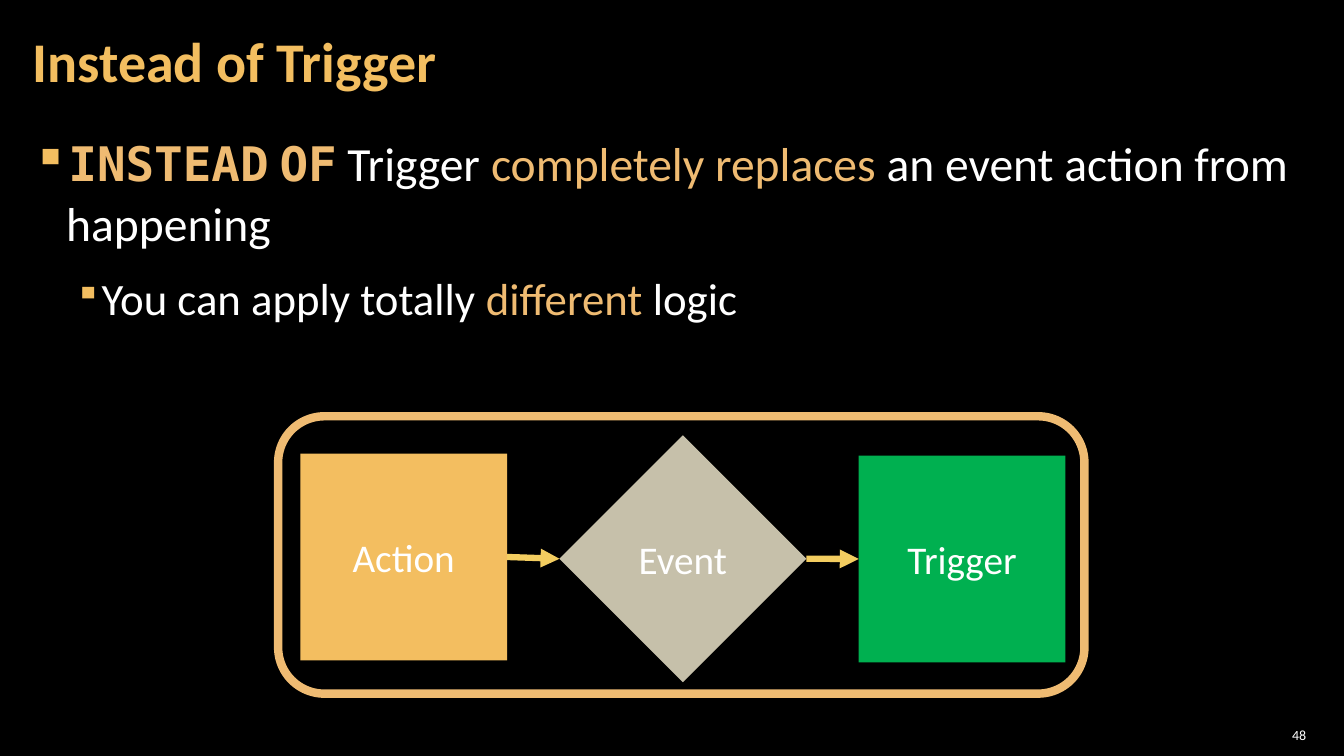
"""Build the slide on the INSTEAD OF trigger with its flow diagram."""
from lxml.etree import SubElement
from pptx import Presentation
from pptx.dml.color import RGBColor
from pptx.enum.shapes import MSO_CONNECTOR, MSO_SHAPE
from pptx.enum.text import MSO_ANCHOR, PP_ALIGN
from pptx.oxml.ns import qn
from pptx.util import Cm, Pt

BLACK = RGBColor(0x00, 0x00, 0x00)
WHITE = RGBColor(0xFF, 0xFF, 0xFF)
GOLD = RGBColor(0xF3, 0xBE, 0x60)
SAND = RGBColor(0xEF, 0xBB, 0x72)
STONE = RGBColor(0xC6, 0xC0, 0xAA)
GREEN = RGBColor(0x00, 0xB0, 0x50)
YELLOW = RGBColor(0xF3, 0xCD, 0x60)
SANS, MONO = "Calibri", "DejaVu Sans Mono"


def add_run(para, text, size, color, bold=False, name=SANS):
    run = para.add_run()
    run.text = text
    run.font.color.rgb = color
    for key, value in {"size": Pt(size), "bold": bold, "name": name}.items():
        setattr(run.font, key, value)


def add_box(left, top, width, height, pad, anchor):
    box = slide.shapes.add_textbox(Cm(left), Cm(top), Cm(width), Cm(height))
    frame = box.text_frame
    look = {"word_wrap": True, "vertical_anchor": anchor,
            "margin_left": Cm(pad), "margin_right": Cm(pad),
            "margin_top": Cm(0.1), "margin_bottom": Cm(0.1)}
    for key, value in look.items():
        setattr(frame, key, value)
    return frame


deck = Presentation()
deck.slide_width, deck.slide_height = Cm(33.87), Cm(19.05)
slide = deck.slides.add_slide(deck.slide_layouts[6])
slide.background.fill.solid()
slide.background.fill.fore_color.rgb = BLACK

title = add_box(0.53, 0.1, 26.59, 3.07, 0.3, MSO_ANCHOR.MIDDLE).paragraphs[0]
title.line_spacing = 0.9
add_run(title, "Instead of Trigger", 40, GOLD, True)

body = add_box(0.53, 3.2, 32.79, 15.47, 0.3, MSO_ANCHOR.TOP)
points = [
    (0.84, 0.84, 100, 34, [
        ("INSTEAD", SAND, True, MONO), (" ", SAND, True), ("OF", SAND, True, MONO),
        (" Trigger ", WHITE), ("completely replaces", SAND),
        (" an event action from happening", WHITE)]),
    (1.7, 0.64, 80, 32, [
        ("You can apply totally ", WHITE), ("different", SAND), (" logic", WHITE)]),
]
for level, (left, hang, scale, size, runs) in enumerate(points):
    para = body.add_paragraph() if level else body.paragraphs[0]
    look = {"level": level, "line_spacing": 1.05,
            "space_before": Pt(6 * level), "space_after": Pt(6)}
    for key, value in look.items():
        setattr(para, key, value)
    props = para._p.get_or_add_pPr()
    props.set("marL", str(Cm(left)))
    props.set("indent", str(-Cm(hang)))
    tint = SubElement(props, qn("a:buClr"))
    SubElement(tint, qn("a:srgbClr"), val=str(GOLD))
    SubElement(props, qn("a:buSzPct"), val=str(scale * 1000))
    SubElement(props, qn("a:buChar"), char="▪")
    for text, *style in runs:
        add_run(para, text, size, *style)

number = add_box(31.75, 18.21, 1.27, 0.64, 0.1, MSO_ANCHOR.MIDDLE).paragraphs[0]
number.alignment = PP_ALIGN.RIGHT
add_run(number, "48", 10, WHITE)

border = slide.shapes.add_shape(
    MSO_SHAPE.ROUNDED_RECTANGLE, Cm(7.01), Cm(10.49), Cm(20.32), Cm(6.99))
border.shadow.inherit = False
border.fill.background()
border.line.color.rgb = SAND
border.line.width = Pt(6)

steps = [
    ("Action", MSO_SHAPE.RECTANGLE, 11.43, 5.21, GOLD),
    ("Event", MSO_SHAPE.DIAMOND, 10.97, 6.22, STONE),
    ("Trigger", MSO_SHAPE.RECTANGLE, 11.48, 5.21, GREEN),
]
left, gap = 7.57, 1.32
last = None
for text, kind, top, side, color in steps:
    step = slide.shapes.add_shape(kind, Cm(left), Cm(top), Cm(side), Cm(side))
    step.shadow.inherit = False
    step.fill.solid()
    step.fill.fore_color.rgb = color
    step.line.fill.background()
    step.text_frame.vertical_anchor = MSO_ANCHOR.MIDDLE
    para = step.text_frame.paragraphs[0]
    para.alignment = PP_ALIGN.CENTER
    add_run(para, text, 28, WHITE)
    if last:
        arrow = slide.shapes.add_connector(MSO_CONNECTOR.STRAIGHT, 0, 0, 0, 0)
        arrow.begin_connect(last, 3)
        arrow.end_connect(step, 1)
        arrow.line.color.rgb = YELLOW
        arrow.line.width = Pt(4.5)
        SubElement(arrow.line._get_or_add_ln(), qn("a:tailEnd"), type="triangle")
        SubElement(arrow._element.spPr, qn("a:effectLst"))
    last = step
    left += side + gap

deck.save("out.pptx")
